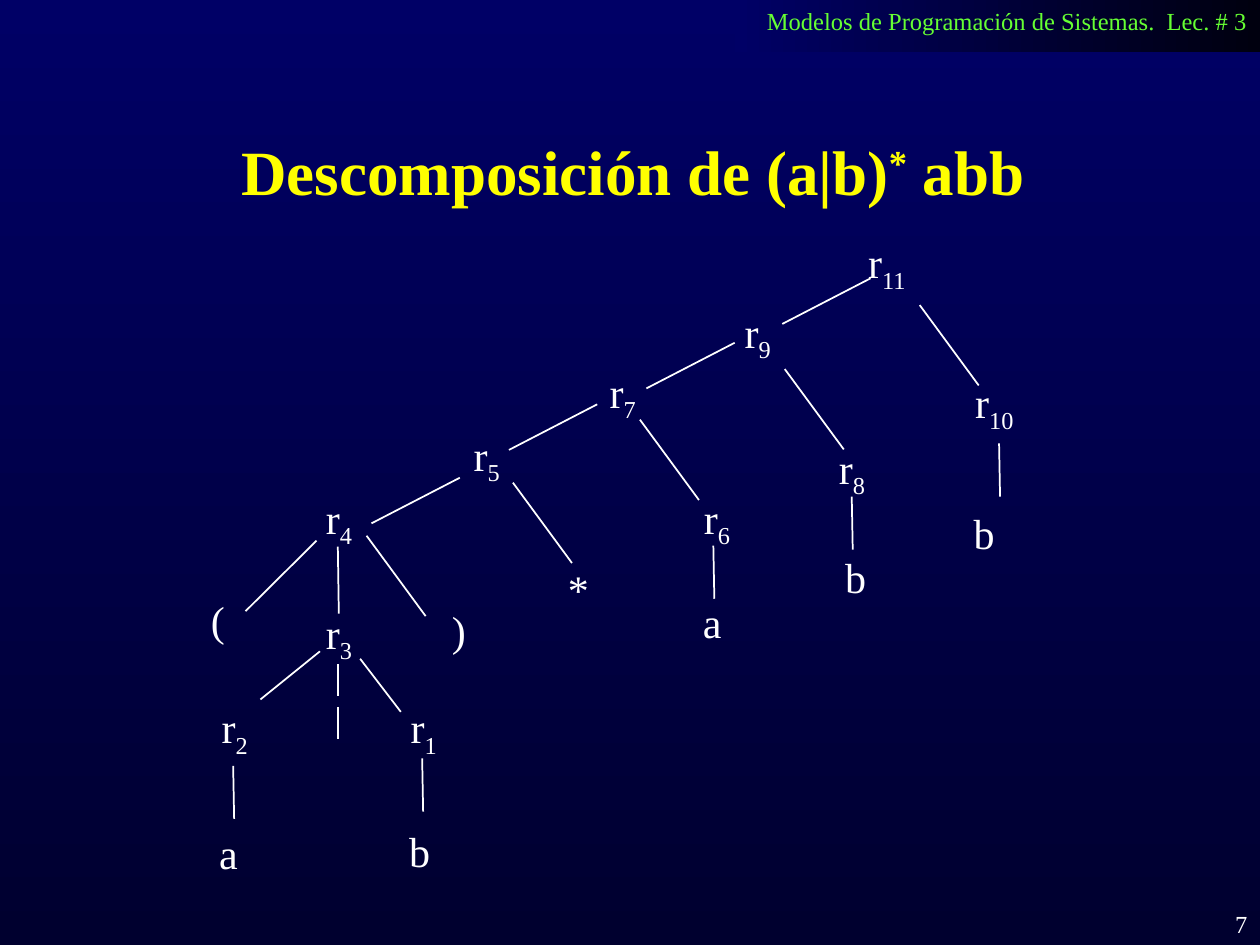
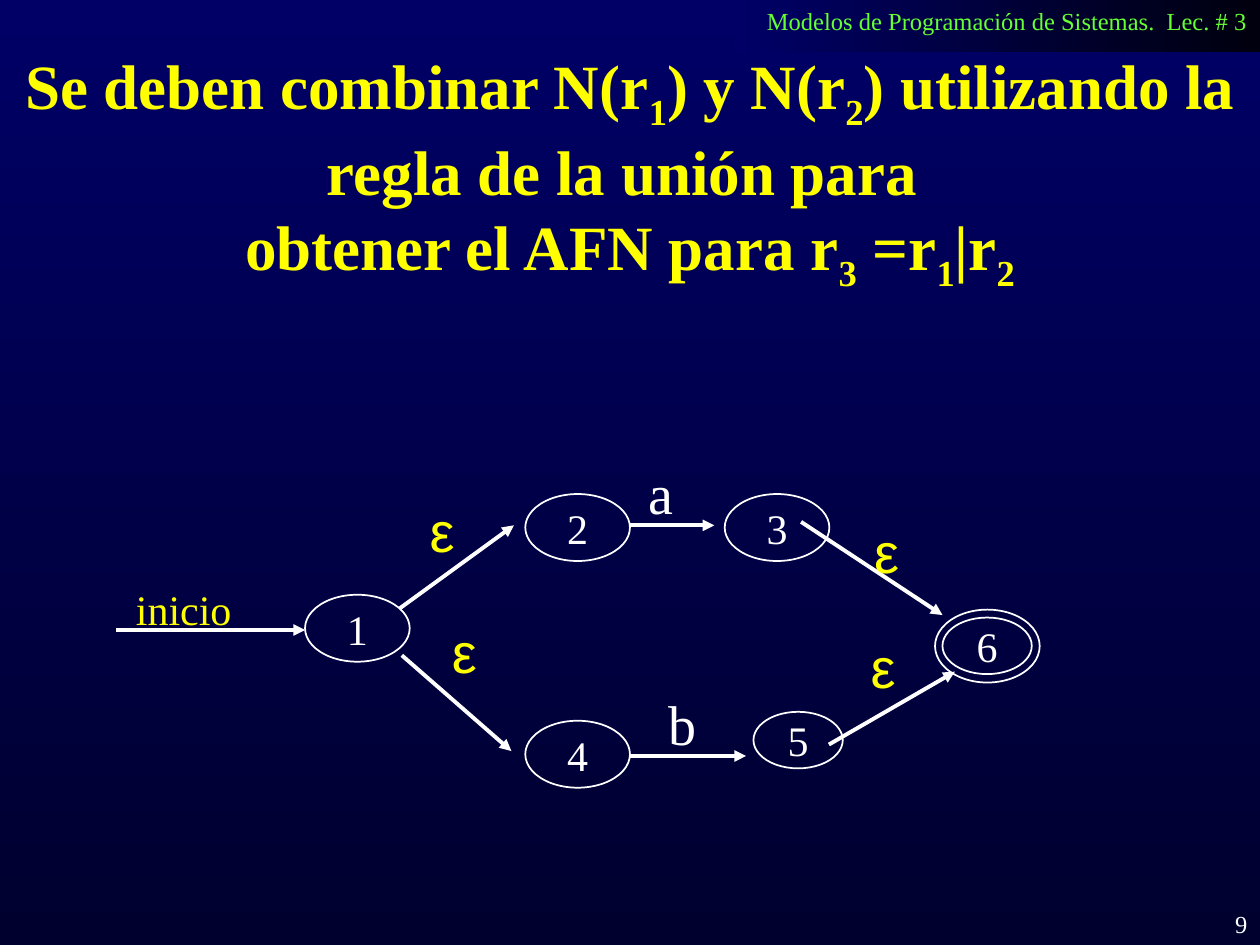
import pptx
import pptx.util
import pptx.dml.color
import pptx.enum.shapes
import pptx.enum.text
import pptx.oxml.ns
import lxml.etree

Cm = pptx.util.Cm
Pt = pptx.util.Pt
RGB = pptx.dml.color.RGBColor
KIND = pptx.enum.shapes.MSO_SHAPE
ALIGN = pptx.enum.text.PP_ALIGN
FIT = pptx.enum.text.MSO_AUTO_SIZE
MIDDLE = pptx.enum.text.MSO_ANCHOR.MIDDLE

WHITE = RGB(0xFF, 0xFF, 0xFF)
YELLOW = RGB(0xFF, 0xFF, 0x00)
GREEN = RGB(0x66, 0xFF, 0x33)
BLUE = RGB(0x00, 0x00, 0x66)
NAVY = RGB(0x00, 0x00, 0x2F)
BLACK = RGB(0x00, 0x00, 0x0F)

SERIF = "Times New Roman"
BODY = {"name": SERIF, "size": Pt(24), "color": WHITE}
TITLE = {"name": SERIF, "size": Pt(36), "color": YELLOW, "bold": True}
HEAD = {"name": SERIF, "size": Pt(14), "color": GREEN}
PAGE = {**HEAD, "color": WHITE}
START = {**BODY, "color": YELLOW}
LETTER = {**BODY, "size": Pt(32)}
GREEK = {"name": "Arial", "size": Pt(32), "color": YELLOW}

WIDTHS = {"(": 0.79, ")": 0.79, "*": 0.91, "a": 0.99, "b": 1.02}
NODES = [
    ("r~11~", 13.25, 0), ("r~9~", 10.76, 1.4), ("r~10~", 15.41, 2.82),
    ("r~7~", 8.04, 2.61), ("r~8~", 12.66, 4.14), ("r~5~", 5.3, 3.88),
    ("r~6~", 9.94, 5.15), ("r~4~", 2.32, 5.15), ("r~3~", 2.32, 7.47),
    ("r~2~", 0.22, 9.37), ("r~1~", 4.03, 9.37),
    ("(", 0, 7.21), (")", 4.86, 7.42), ("*", 7.2, 6.58),
    ("b", 15.38, 5.46), ("b", 12.79, 6.35), ("b", 4, 11.86),
    ("a", 0.17, 11.91), ("a", 9.92, 7.26),
]
EDGES = {
    (-1.78, 0.92): [(5.27, 4.98), (8.04, 3.5), (10.81, 2.26), (13.55, 0.96)],
    (1.19, 1.62): [(14.54, 1.5), (11.82, 2.79), (8.9, 3.81), (6.34, 5.08),
                   (3.39, 6.15)],
    (0.02, 1.07): [(13.17, 5.36), (16.14, 4.29), (4.51, 10.64),
                   (0.7, 10.79), (10.38, 6.35)],
    (0, 0.64): [(2.82, 8.74), (2.82, 9.6)],
    (0.02, 1.35): [(2.81, 6.37)],
    (0.82, 1.07): [(3.26, 8.63)],
    (-1.2, 0.97): [(2.45, 8.48)],
    (-1.43, 1.42): [(2.38, 6.25)],
}

LARGE, SMALL, OUTER = (2.11, 1.35), (1.8, 1.14), (2.11, 1.47)
STATES = [
    ("1", 3.81, 2.87, LARGE), ("", 16.51, 3.17, OUTER),
    ("6", 16.66, 3.33, SMALL), ("2", 8.25, 0.84, LARGE),
    ("3", 12.27, 0.84, LARGE), ("4", 8.25, 5.41, LARGE),
    ("5", 12.85, 5.23, SMALL),
]
MOVES = [
    (0, 3.58, 3.81, 3.58), (5.71, 3.15, 8.02, 1.47),
    (14.37, 5.89, 16.91, 4.42), (5.76, 4.09, 7.97, 6.02),
    (13.81, 1.4, 16.66, 3.28), (10.36, 1.47, 12.06, 1.47),
    (10.36, 6.12, 12.7, 6.12),
]
LABELS = [
    ("inicio", 0.15, 2.51, 2.77, 1.27, START),
    ("ε", 6.52, 3.2, 0.99, 1.63, GREEK), ("ε", 6.07, 0.76, 0.99, 1.63, GREEK),
    ("ε", 15.03, 1.19, 0.99, 1.63, GREEK), ("ε", 14.96, 3.5, 0.99, 1.63, GREEK),
    ("b", 10.89, 4.65, 1.19, 1.63, LETTER), ("a", 10.49, 0, 1.14, 1.63, LETTER),
]


def style(font, form):
    """Apply a dict of format values to a font."""
    for key, value in form.items():
        if key == "color":
            font.color.rgb = value
        else:
            setattr(font, key, value)


def write(frame, text, form, align):
    """Fill a frame; parts between tildes are raised or lowered."""
    for num, line in enumerate(text.split("\n")):
        para = frame.add_paragraph() if num else frame.paragraphs[0]
        para.alignment = align
        for odd, part in enumerate(line.split("~")):
            if not part:
                continue
            run = para.add_run()
            run.text = part
            style(run.font, form)
            if odd % 2:
                shift = "30000" if part == "*" else "-25000"
                run.font._element.set("baseline", shift)


def label(slide, text, box, form, align=ALIGN.LEFT, wrap=False, fit=True):
    """Add a text box at a box given in centimetres."""
    frame = slide.shapes.add_textbox(*map(Cm, box)).text_frame
    frame.word_wrap = wrap
    frame.auto_size = FIT.SHAPE_TO_FIT_TEXT if fit else FIT.NONE
    write(frame, text, form, align)


def link(slide, ends, width, arrow=False):
    """Draw a straight white line, with an arrowhead if asked."""
    line = slide.shapes.add_connector(
        pptx.enum.shapes.MSO_CONNECTOR.STRAIGHT, *map(Cm, ends))
    line.line.color.rgb = WHITE
    line.line.width = Pt(width)
    qn = pptx.oxml.ns.qn
    if arrow:
        pen = line.line._get_or_add_ln()
        lxml.etree.SubElement(pen, qn("a:tailEnd"), type="triangle")
    lxml.etree.SubElement(line._element.spPr, qn("a:effectLst"))


def blend(fill, colors, angle):
    """Give a fill a two-colour linear gradient."""
    fill.gradient()
    fill.gradient_angle = angle
    for stop, color in zip(fill.gradient_stops, colors):
        stop.color.rgb = color


def base(deck, title, box, page):
    """Add a slide with background, header band, title and number."""
    slide = deck.slides.add_slide(deck.slide_layouts[6])
    blend(slide.background.fill, (BLUE, NAVY), 270)
    band = slide.shapes.add_shape(
        KIND.RECTANGLE, *map(Cm, (14.82, 0, 10.58, 1.06)))
    band.shadow.inherit = False
    band.line.fill.background()
    blend(band.fill, (BLACK, BLUE), 180)
    label(slide, "Modelos de Programación de Sistemas.  Lec. # 3",
          (15.21, 0, 10.19, 0.86), HEAD)
    label(slide, title, box, TITLE, ALIGN.CENTER, True)
    label(slide, page, (20.12, 18.21, 5.28, 0.84), PAGE, ALIGN.RIGHT, True, False)
    return slide


def tree(slide, left, top):
    """Draw the syntax tree from its top left corner."""
    for text, x, y in NODES:
        wide = WIDTHS.get(text, 1.45 if len(text) > 4 else 1.17)
        high = 1.27 if text in WIDTHS else 1.42
        label(slide, text, (left + x, top + y, wide, high), BODY)
    for (dx, dy), starts in EDGES.items():
        for x, y in starts:
            x, y = left + x, top + y
            link(slide, (x, y, x + dx, y + dy), 1)


def state(slide, text, box):
    """Draw one state as an outlined ellipse."""
    oval = slide.shapes.add_shape(KIND.OVAL, *map(Cm, box))
    oval.shadow.inherit = False
    oval.fill.background()
    oval.line.color.rgb = WHITE
    oval.line.width = Pt(1)
    frame = oval.text_frame
    frame.word_wrap = False
    frame.vertical_anchor = MIDDLE
    write(frame, text, BODY, ALIGN.CENTER)


def graph(slide, left, top):
    """Draw the automaton from its top left corner."""
    for text, x, y, size in STATES:
        state(slide, text, (left + x, top + y, *size))
    for x, y, x2, y2 in MOVES:
        link(slide, (left + x, top + y, left + x2, top + y2), 2.25, True)
    for text, x, y, wide, high, form in LABELS:
        label(slide, text, (left + x, top + y, wide, high), form)


def main():
    """Build and save both slides."""
    deck = pptx.Presentation()
    deck.slide_width, deck.slide_height = Cm(25.4), Cm(19.05)
    tree(base(deck, "Descomposición de (a|b)~*~ abb",
              (4.01, 2.54, 17.5, 3.3), "7"), 4, 4.65)
    title = ("Se deben combinar N(r~1~) y N(r~2~) utilizando la regla de la "
             "unión para \nobtener el AFN para r~3~ =r~1~|r~2~")
    graph(base(deck, title, (0, 0.81, 25.4, 5.26), "9"), 2.34, 9.12)
    deck.save("out.pptx")


if __name__ == "__main__":
    main()
